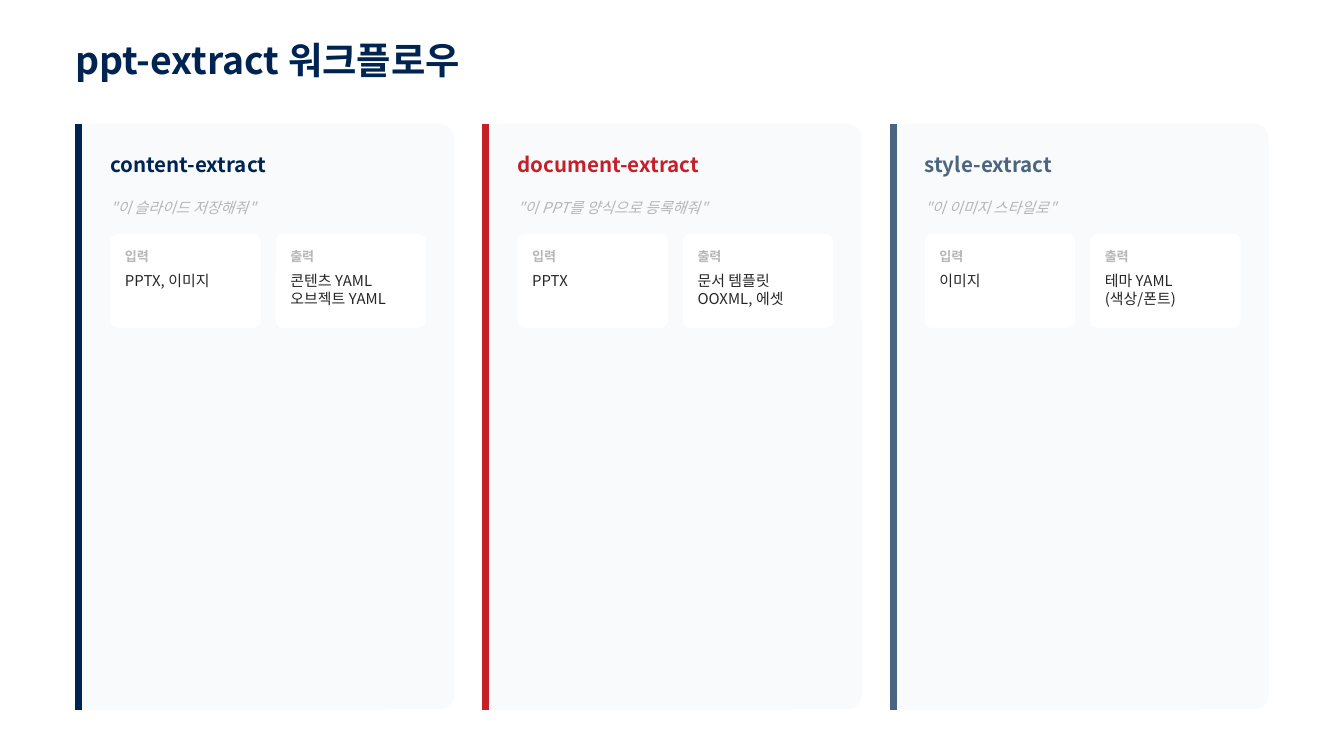
from lxml.etree import SubElement
from pptx import Presentation
from pptx.dml.color import RGBColor
from pptx.enum.shapes import MSO_CONNECTOR, MSO_SHAPE
from pptx.enum.text import MSO_ANCHOR, MSO_AUTO_SIZE, PP_ALIGN
from pptx.oxml.ns import qn
from pptx.util import Inches, Pt

FONT = "Noto Sans CJK KR"
NAVY, RED, SLATE = "002452", "C51F2A", "4B6580"
GREY, INK, PANEL, WHITE = "B6B6B6", "262626", "F8FAFC", "FFFFFF"


def write(shape, text, size, color, bold=False, italic=False, after=0):
    frame = shape.text_frame
    frame.word_wrap = True
    frame.auto_size = MSO_AUTO_SIZE.NONE
    frame.vertical_anchor = MSO_ANCHOR.TOP
    frame.margin_left = frame.margin_right = 0
    frame.margin_top = frame.margin_bottom = 0
    frame.text = text
    for paragraph in frame.paragraphs:
        paragraph.alignment = PP_ALIGN.LEFT
        paragraph.space_after = Pt(after)
        run = paragraph.runs[0]
        run.font.size = Pt(size)
        run.font.bold = bold
        run.font.italic = italic
        run.font.color.rgb = RGBColor.from_string(color)
        run.font.name = FONT
        # Korean glyphs take the East Asian font
        SubElement(run.font._element, qn("a:ea"), typeface=FONT)


def add_box(left, top, width, height, fill, rounding):
    box = slide.shapes.add_shape(
        MSO_SHAPE.ROUNDED_RECTANGLE,
        Inches(left), Inches(top), Inches(width), Inches(height))
    box.adjustments[0] = rounding / min(width, height)
    box.shadow.inherit = False
    box.fill.solid()
    box.fill.fore_color.rgb = RGBColor.from_string(fill)
    box.line.fill.background()


# Widescreen slide, 16:9
prs = Presentation()
prs.slide_width, prs.slide_height = Inches(10), Inches(10 * 9 / 16)
slide = prs.slides.add_slide(prs.slide_layouts[5])
slide.background.fill.solid()
slide.background.fill.fore_color.rgb = RGBColor.from_string(WHITE)

# Title
title = slide.shapes.title
title.left, title.top = Inches(0.56), Inches(0.28)
title.width, title.height = Inches(9.07), Inches(0.36)
write(title, "ppt-extract 워크플로우", size=20, color=NAVY, bold=True)

# Workflows: name, accent, spoken request, input, output
workflows = [
    ("content-extract", NAVY, '"이 슬라이드 저장해줘"',
     "PPTX, 이미지", "콘텐츠 YAML\n오브젝트 YAML"),
    ("document-extract", RED, '"이 PPT를 양식으로 등록해줘"',
     "PPTX", "문서 템플릿\nOOXML, 에셋"),
    ("style-extract", SLATE, '"이 이미지 스타일로"',
     "이미지", "테마 YAML\n(색상/폰트)"),
]
panel_top, panel_height = 0.92, 4.36
bar_width = Pt(3.75)

for column, (name, accent, request, source, result) in enumerate(workflows):
    left = 0.56 + column * 3.03
    inner = left + 0.26

    # Panel with accent bar along its left edge
    add_box(left, panel_top, 2.82, panel_height, PANEL, rounding=0.11)
    bar_x = Inches(left) + bar_width // 2
    bar = slide.shapes.add_connector(
        MSO_CONNECTOR.STRAIGHT, bar_x, Inches(panel_top),
        bar_x, Inches(panel_top + panel_height))
    bar.line.color.rgb = RGBColor.from_string(accent)
    bar.line.width = bar_width
    SubElement(bar._element.spPr, qn("a:effectLst"))

    # Heading and request
    heading = slide.shapes.add_textbox(
        Inches(inner), Inches(1.13), Inches(2.4), Inches(0.21))
    write(heading, name, size=11, color=accent, bold=True, after=10)
    quote = slide.shapes.add_textbox(
        Inches(inner), Inches(1.48), Inches(2.4), Inches(0.16))
    write(quote, request, size=8, color=GREY, italic=True, after=8)

    # Input and output cards
    for card, (label, content) in enumerate([("입력", source), ("출력", result)]):
        card_left = inner + card * 1.23
        add_box(card_left, 1.74, 1.12, 0.7, WHITE, rounding=0.055)
        caption = slide.shapes.add_textbox(
            Inches(card_left + 0.11), Inches(1.85), Inches(0.92), Inches(0.12))
        write(caption, label, size=7, color=GREY, bold=True, after=3)
        lines = content.count("\n") + 1
        detail = slide.shapes.add_textbox(
            Inches(card_left + 0.11), Inches(2.02), Inches(0.92), Inches(0.16 * lines))
        write(detail, content, size=8, color=INK)

prs.save("out.pptx")
